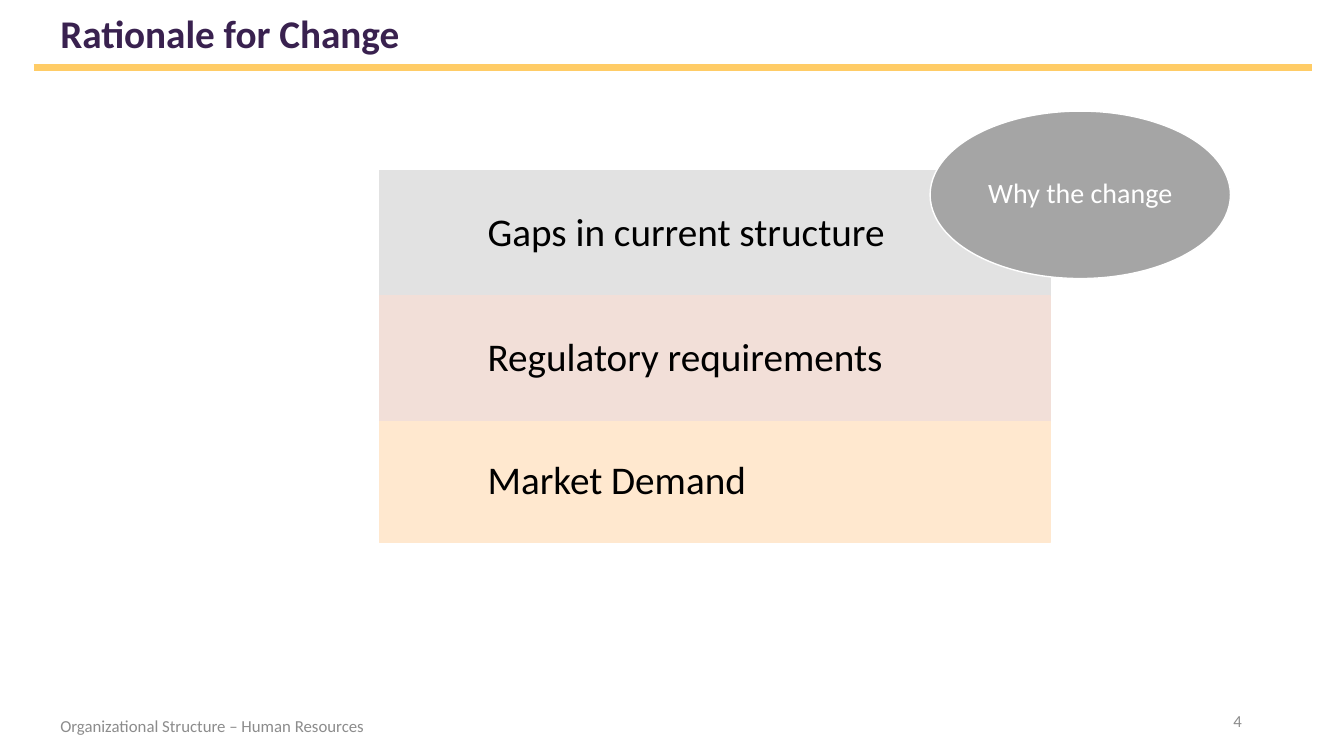
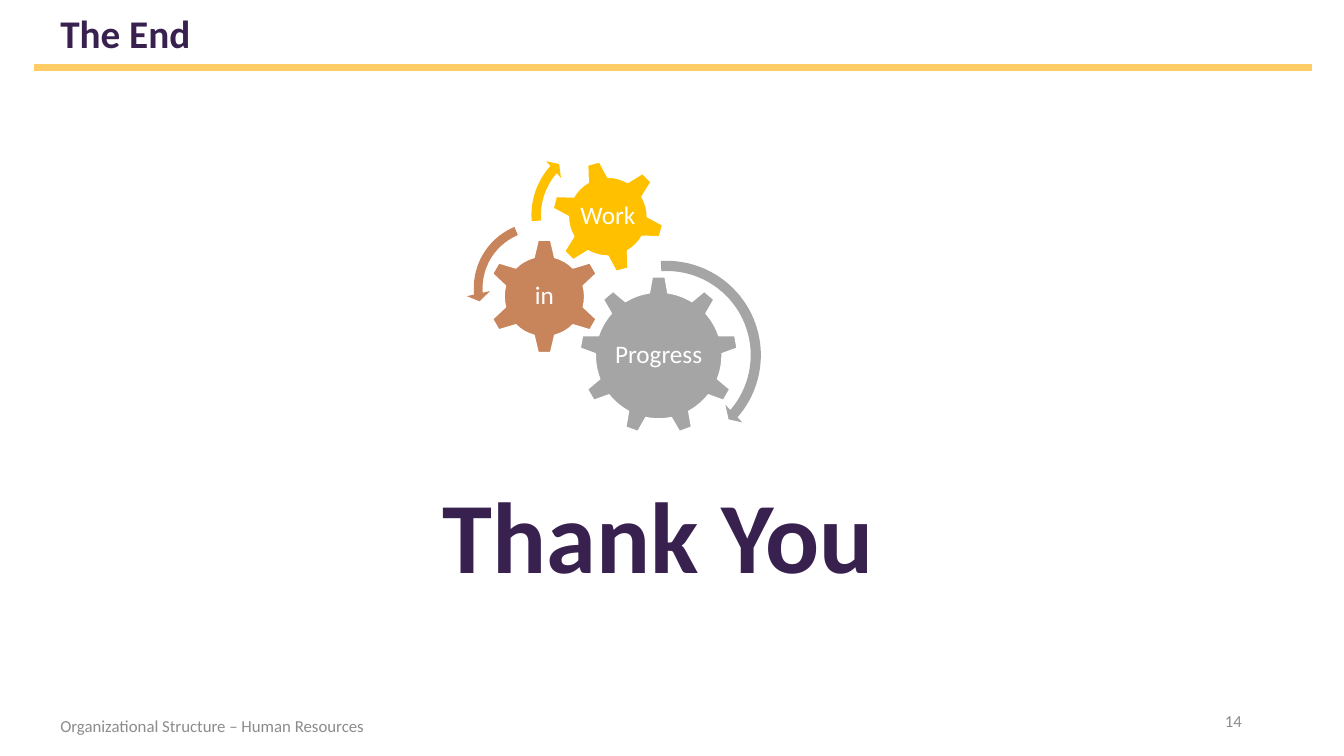
from dataclasses import dataclass

from lxml.etree import SubElement
from pptx import Presentation
from pptx.dml.color import RGBColor
from pptx.enum.shapes import MSO_CONNECTOR, MSO_SHAPE as Preset
from pptx.enum.text import MSO_ANCHOR as Anchor, PP_ALIGN as Align
from pptx.oxml.ns import qn
from pptx.util import Cm, Pt

FONT = "Calibri"
PURPLE = "39214F"
GOLD = "FFCC66"
FOOTER_GRAY = "8C8C8C"
GRAY = "A5A5A5"
BROWN = "C8855C"
AMBER = "FFC000"
WHITE = "FFFFFF"
BLACK = "000000"
FOOTER = "Organizational Structure – Human Resources"


@dataclass(frozen=True)
class Frame:
    left: float
    top: float
    width: float
    height: float

    def lengths(self) -> tuple:
        return Cm(self.left), Cm(self.top), Cm(self.width), Cm(self.height)


@dataclass(frozen=True)
class TextStyle:
    size: float
    color: str
    bold: bool = False
    align: Align = Align.LEFT
    anchor: Anchor = Anchor.MIDDLE
    spacing: float = 1.0


@dataclass(frozen=True)
class Band:
    text: str
    color: str
    height: float


@dataclass(frozen=True)
class Gear:
    text: str
    preset: Preset
    color: str
    center: tuple[float, float]
    size: float
    rotation: float = 0


@dataclass(frozen=True)
class TurnArrow:
    preset: Preset
    color: str
    center: tuple[float, float]
    size: float
    adjustments: tuple[float, ...]


TITLE = TextStyle(28, PURPLE, bold=True, anchor=Anchor.TOP)
CLOSING = TextStyle(72, PURPLE, bold=True, anchor=Anchor.TOP)
FOOTER_TEXT = TextStyle(12, FOOTER_GRAY)
PAGE_NUMBER = TextStyle(12, FOOTER_GRAY, align=Align.RIGHT)
BAND_TEXT = TextStyle(28, BLACK, spacing=0.9)
BUBBLE_TEXT = TextStyle(20, WHITE, align=Align.CENTER, spacing=0.9)
GEAR_TEXT = TextStyle(18, WHITE, align=Align.CENTER, spacing=0.9)

BANDS = (
    Band("Gaps in current structure", "E2E2E2", 3.16),
    Band("Regulatory requirements", "F2DFD8", 3.16),
    Band("Market Demand", "FFE8CF", 3.05),
)
GEARS = (
    Gear("Progress", Preset.GEAR_9, GRAY, (16.6, 8.96), 3.99),
    Gear("in", Preset.GEAR_6, BROWN, (13.72, 7.47), 2.9),
    Gear("Work", Preset.GEAR_6, AMBER, (15.32, 5.46), 2.84, 345),
)
TURN_ARROWS = (
    TurnArrow(Preset.CIRCULAR_ARROW, GRAY, (16.8, 8.95), 5.11,
              (0.05, 2.99, 24.6, 159.87, 0.06)),
    TurnArrow(Preset.LEFT_CIRCULAR_ARROW, BROWN, (13.61, 7.26), 3.71,
              (0.06, 4.3, 104.89, 148.38, 0.08)),
    TurnArrow(Preset.CIRCULAR_ARROW, AMBER, (15.23, 5.42), 3.99,
              (0.06, 3.94, 133.14, 105.08, 0.07)),
)


def rgb(color: str) -> RGBColor:
    return RGBColor.from_string(color)


def centered(center: tuple[float, float], width: float, height: float) -> Frame:
    return Frame(center[0] - width / 2, center[1] - height / 2, width, height)


def write(shape, text: str, style: TextStyle, wrap: bool = True) -> None:
    body = shape.text_frame
    body.text = text
    body.word_wrap = wrap
    body.vertical_anchor = style.anchor
    para = body.paragraphs[0]
    para.alignment = style.align
    para.line_spacing = style.spacing
    for span in para.runs:
        span.font.name = FONT
        span.font.size = Pt(style.size)
        span.font.bold = style.bold
        span.font.color.rgb = rgb(style.color)


def add_text(page, frame: Frame, text: str, style: TextStyle, wrap: bool = True):
    box = page.shapes.add_textbox(*frame.lengths())
    write(box, text, style, wrap)
    return box


def add_solid(page, preset: Preset, frame: Frame, fill: str, outline: str | None = None):
    shape = page.shapes.add_shape(preset, *frame.lengths())
    shape.shadow.inherit = False
    shape.fill.solid()
    shape.fill.fore_color.rgb = rgb(fill)
    if outline:
        shape.line.color.rgb = rgb(outline)
        shape.line.width = Pt(1)
    else:
        shape.line.fill.background()
    return shape


def add_page(deck, title: str, number: int):
    page = deck.slides.add_slide(deck.slide_layouts[6])
    rule = page.shapes.add_connector(
        MSO_CONNECTOR.STRAIGHT, Cm(0.85), Cm(1.7), Cm(33.07), Cm(1.7))
    rule.line.color.rgb = rgb(GOLD)
    rule.line.width = Pt(4.5)
    SubElement(rule._element.spPr, qn("a:effectLst"))
    add_text(page, Frame(1.27, 0.1, 12.19, 1.45), title, TITLE)
    add_text(page, Frame(1.27, 17.78, 11.43, 1.02), FOOTER, FOOTER_TEXT)
    add_text(page, Frame(23.93, 17.65, 7.62, 1.02), str(number), PAGE_NUMBER)
    return page


def add_bands(page, left: float, top: float, width: float) -> None:
    for band in BANDS:
        frame = Frame(left, top, width, band.height)
        shape = add_solid(page, Preset.RECTANGLE, frame, band.color, band.color)
        write(shape, band.text, BAND_TEXT)
        shape.text_frame.margin_left = Cm(2.72)
        top += band.height


def add_gear(page, gear: Gear) -> None:
    frame = centered(gear.center, gear.size, gear.size)
    shape = add_solid(page, gear.preset, frame, gear.color, WHITE)
    shape.rotation = gear.rotation
    label = centered(gear.center, gear.size, 1.4)
    add_text(page, label, gear.text, GEAR_TEXT)


def add_turn_arrow(page, arrow: TurnArrow) -> None:
    frame = centered(arrow.center, arrow.size, arrow.size)
    shape = add_solid(page, arrow.preset, frame, arrow.color)
    for index, value in enumerate(arrow.adjustments):
        shape.adjustments[index] = value


def build_rationale(deck) -> None:
    page = add_page(deck, "Rationale for Change", 4)
    add_bands(page, 9.57, 4.3, 16.89)
    bubble = add_solid(page, Preset.OVAL, Frame(23.44, 2.8, 7.57, 4.22), GRAY, WHITE)
    write(bubble, "Why the change", BUBBLE_TEXT)


def build_end(deck) -> None:
    page = add_page(deck, "The End", 14)
    for gear in GEARS:
        add_gear(page, gear)
    for arrow in TURN_ARROWS:
        add_turn_arrow(page, arrow)
    add_text(page, Frame(10.9, 11.79, 14.02, 3.33), "Thank You", CLOSING)


def main() -> None:
    deck = Presentation()
    deck.slide_width = Cm(33.87)
    deck.slide_height = Cm(19.05)
    build_rationale(deck)
    build_end(deck)
    deck.save("out.pptx")


if __name__ == "__main__":
    main()
